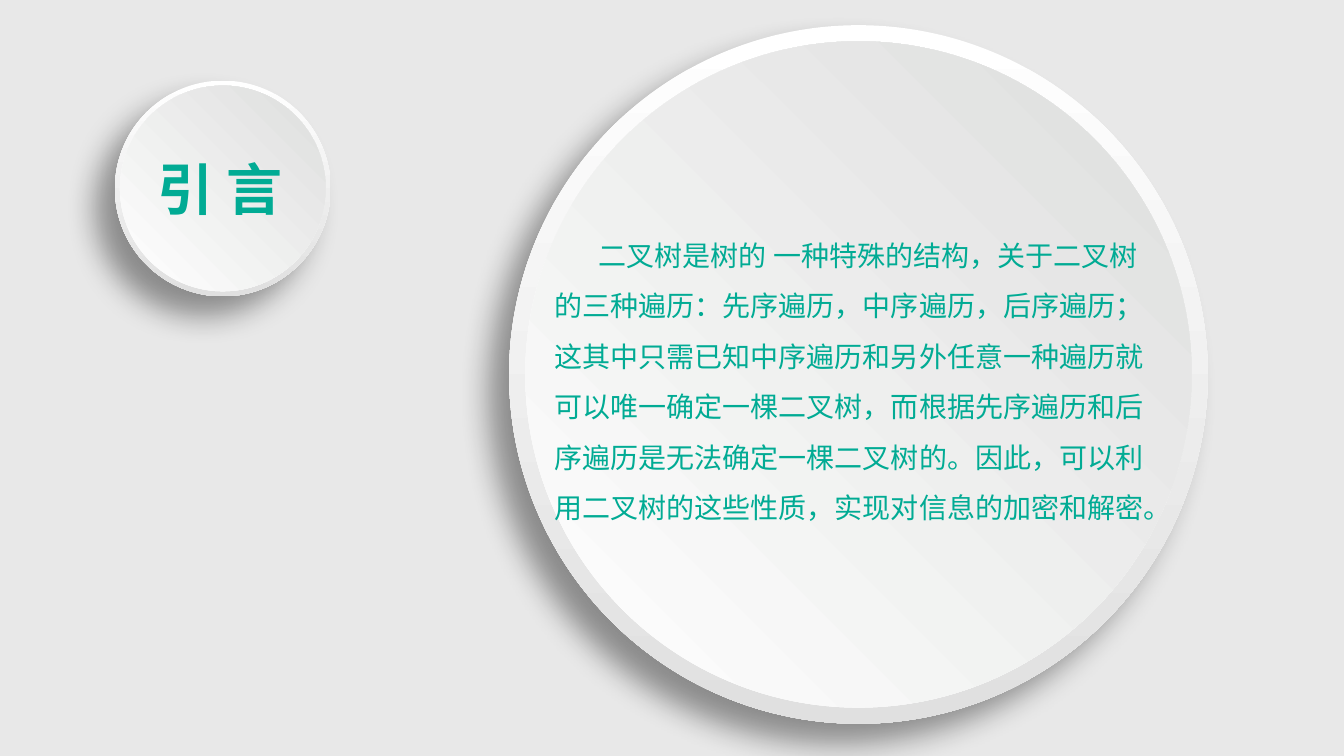
from dataclasses import dataclass

from lxml.etree import SubElement
from pptx import Presentation
from pptx.dml.color import RGBColor
from pptx.enum.shapes import MSO_SHAPE as Preset
from pptx.enum.text import MSO_AUTO_SIZE as AutoSize, PP_ALIGN as Align
from pptx.oxml.ns import qn
from pptx.shapes.autoshape import Shape
from pptx.shapes.group import GroupShape
from pptx.slide import Slide
from pptx.util import Inches, Pt

BACKDROP = RGBColor(0xE8, 0xE8, 0xE8)
WHITE = RGBColor(0xFF, 0xFF, 0xFF)
RIM_GREY = RGBColor(0xE0, 0xE0, 0xE0)
FACE_GREY = RGBColor(0xDD, 0xDE, 0xDD)
SHADOW = RGBColor(0x00, 0x00, 0x00)
TEAL = RGBColor(0x01, 0xAB, 0x94)
FONT = "Arial"


@dataclass
class Caption:
    text: str
    left: float
    top: float
    width: float
    height: float
    size: int
    align: Align = Align.LEFT
    bold: bool = False
    wrap: bool = True
    line_spacing: float = 1.0
    indent: float = 0.0


@dataclass
class Disc:
    left: float
    top: float
    diameter: float
    rim: float
    caption: Caption


DISCS = [
    Disc(5.05, 0.25, 6.93, 0.16, Caption(
        "二叉树是树的 一种特殊的结构，关于二叉树的三种遍历：先序遍历，中序遍历，后序遍历；"
        "这其中只需已知中序遍历和另外任意一种遍历就可以唯一确定一棵二叉树，"
        "而根据先序遍历和后序遍历是无法确定一棵二叉树的。"
        "因此，可以利用二叉树的这些性质，实现对信息的加密和解密。",
        5.4, 2.15, 6.24, 3.07, 20, line_spacing=1.5, indent=0.44)),
    Disc(1.14, 0.8, 2.14, 0.05, Caption(
        "引 言", 1.44, 1.48, 1.48, 0.77, 40, Align.CENTER, bold=True, wrap=False)),
]


def add_circle(group: GroupShape, left: float, top: float, diameter: float,
               grey: RGBColor, angle: float) -> Shape:
    """Add a borderless circle shaded from white to grey."""
    circle = group.shapes.add_shape(Preset.OVAL, Inches(left), Inches(top),
                                    Inches(diameter), Inches(diameter))
    circle.fill.gradient()
    circle.fill.gradient_angle = angle
    for stop, color in zip(circle.fill.gradient_stops, (WHITE, grey)):
        stop.color.rgb = color
    circle.line.fill.background()
    circle.shadow.inherit = False
    return circle


def cast_shadow(circle: Shape) -> None:
    """Throw a soft shadow to the lower left."""
    effects = circle._element.spPr.find(qn("a:effectLst"))
    shadow = SubElement(effects, qn("a:outerShdw"), blurRad=str(Pt(22)),
                        dist=str(Pt(20)), dir=str(135 * 60000),
                        algn="tr", rotWithShape="0")
    color = SubElement(shadow, qn("a:srgbClr"), val=str(SHADOW))
    SubElement(color, qn("a:alpha"), val="40000")


def add_caption(group: GroupShape, caption: Caption) -> None:
    """Write the teal text of a disc."""
    box = group.shapes.add_textbox(Inches(caption.left), Inches(caption.top),
                                   Inches(caption.width), Inches(caption.height))
    frame = box.text_frame
    frame.text = caption.text
    frame.word_wrap = caption.wrap
    frame.auto_size = AutoSize.SHAPE_TO_FIT_TEXT
    paragraph = frame.paragraphs[0]
    paragraph.alignment = caption.align
    paragraph.line_spacing = caption.line_spacing
    if caption.indent:
        paragraph._p.get_or_add_pPr().set("indent", str(Inches(caption.indent)))
    font = paragraph.runs[0].font
    font.name = FONT
    font.size = Pt(caption.size)
    font.bold = caption.bold
    font.color.rgb = TEAL


def add_disc(slide: Slide, disc: Disc) -> None:
    """Group a shadowed rim, its face and its text."""
    group = slide.shapes.add_group_shape()
    rim = add_circle(group, disc.left, disc.top, disc.diameter, RIM_GREY, 270)
    cast_shadow(rim)
    add_circle(group, disc.left + disc.rim, disc.top + disc.rim,
               disc.diameter - 2 * disc.rim, FACE_GREY, 45)
    add_caption(group, disc.caption)


def main() -> None:
    deck = Presentation()
    deck.slide_width, deck.slide_height = Inches(13.33), Inches(7.5)
    slide = deck.slides.add_slide(deck.slide_layouts[6])

    # Backdrop
    backdrop = slide.background.fill
    backdrop.solid()
    backdrop.fore_color.rgb = BACKDROP

    # Discs with the introduction and the heading
    for disc in DISCS:
        add_disc(slide, disc)

    deck.save("out.pptx")


if __name__ == "__main__":
    main()
